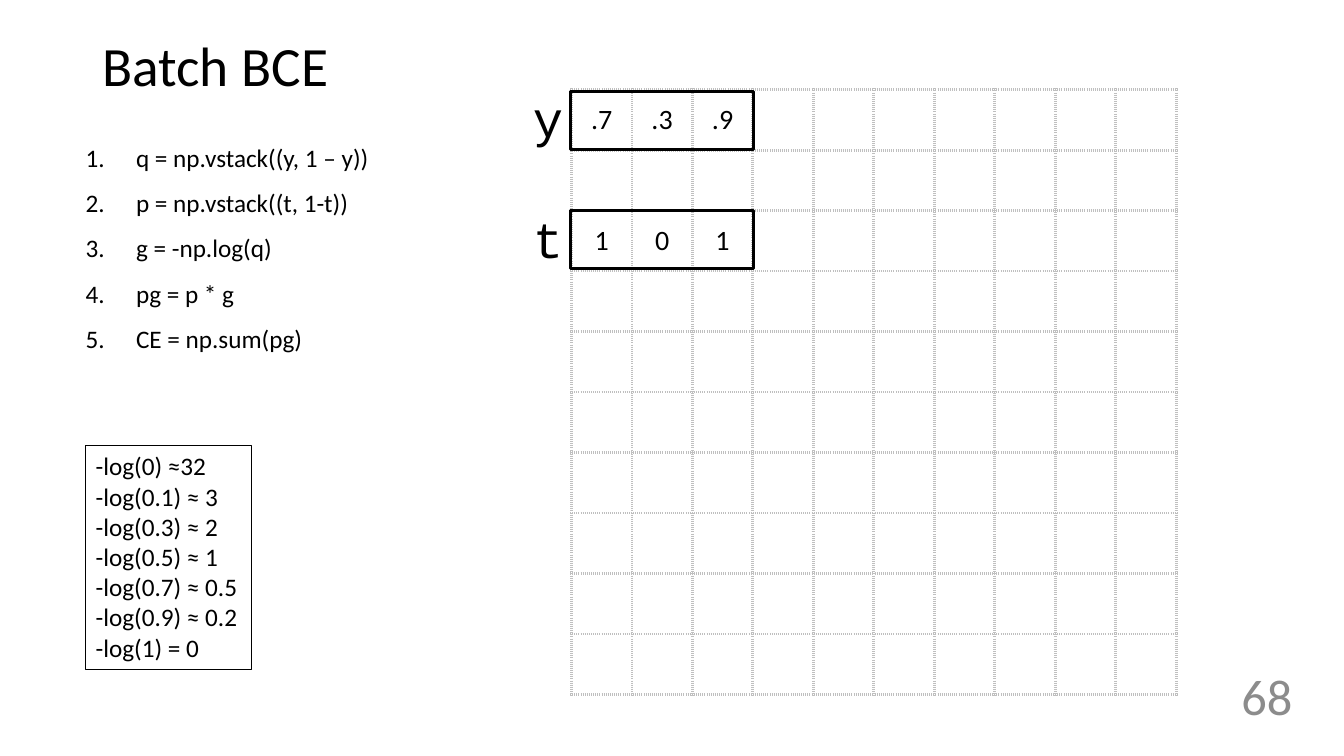
from dataclasses import dataclass
from typing import Optional

from lxml.etree import SubElement
from pptx import Presentation
from pptx.dml.color import RGBColor
from pptx.enum.shapes import MSO_SHAPE
from pptx.enum.text import MSO_ANCHOR, PP_ALIGN
from pptx.oxml.ns import qn
from pptx.util import Cm, Pt

COLORS = {"text": "000000", "number": "8C8C8C", "grid": "BFBFBF"}
GRID_SIZE = 10
GRID_LEFT, GRID_TOP, GRID_SIDE = 14.4, 2.26, 15.24


@dataclass
class TextBox:
    left: float
    top: float
    width: float
    height: float
    lines: list[str]
    size: float
    font: str = "Calibri"
    color: str = "text"
    align: PP_ALIGN = PP_ALIGN.LEFT
    anchor: MSO_ANCHOR = MSO_ANCHOR.TOP
    wrap: bool = True
    spacing: Optional[float] = None
    numbered: bool = False
    outline: Optional[float] = None


@dataclass
class Vector:
    name: str
    row: int
    values: list[str]
    label_top: float
    frame_top: float


def rgb(name: str) -> RGBColor:
    return RGBColor.from_string(COLORS[name])


def add_run(p, text: str, size: float, font: str = "Calibri", color: str = "text") -> None:
    r = p.add_run()
    r.text = text
    r.font.size = Pt(size)
    r.font.name = font
    r.font.color.rgb = rgb(color)


def number_paragraph(p) -> None:
    pPr = p._p.get_or_add_pPr()
    pPr.set("marL", str(Cm(1.27)))
    pPr.set("indent", str(-Cm(1.27)))
    SubElement(pPr, qn("a:buFont"), typeface="+mj-lt")
    SubElement(pPr, qn("a:buAutoNum"), type="arabicPeriod")


def draw_text(s, box: TextBox) -> None:
    sp = s.shapes.add_textbox(Cm(box.left), Cm(box.top), Cm(box.width), Cm(box.height))
    if box.outline:
        sp.line.color.rgb = rgb("text")
        sp.line.width = Pt(box.outline)
    tf = sp.text_frame
    tf.word_wrap = box.wrap
    tf.vertical_anchor = box.anchor
    for i, line in enumerate(box.lines):
        p = tf.add_paragraph() if i else tf.paragraphs[0]
        if box.numbered:
            number_paragraph(p)
        p.alignment = box.align
        if box.spacing:
            p.line_spacing = box.spacing
        add_run(p, line, box.size, box.font, box.color)


def style_cell(cell) -> None:
    cell.vertical_anchor = MSO_ANCHOR.MIDDLE
    tcPr = cell._tc.get_or_add_tcPr()
    for side in ("lnL", "lnR", "lnT", "lnB"):
        ln = SubElement(tcPr, qn(f"a:{side}"), w=str(Pt(2.25)))
        fill = SubElement(ln, qn("a:solidFill"))
        SubElement(fill, qn("a:srgbClr"), val=COLORS["grid"])
        SubElement(ln, qn("a:prstDash"), val="sysDot")
    cell.fill.background()


def draw_grid(s, vectors: list[Vector]) -> None:
    table = s.shapes.add_table(GRID_SIZE, GRID_SIZE, Cm(GRID_LEFT), Cm(GRID_TOP),
                               Cm(GRID_SIDE), Cm(GRID_SIDE)).table
    table.first_row = False
    table.horz_banding = False
    for cell in table.iter_cells():
        style_cell(cell)
    for vector in vectors:
        for col, value in enumerate(vector.values):
            p = table.cell(vector.row, col).text_frame.paragraphs[0]
            p.alignment = PP_ALIGN.CENTER
            add_run(p, value, 20)


def draw_frame(s, vector: Vector) -> None:
    sp = s.shapes.add_shape(MSO_SHAPE.RECTANGLE, Cm(14.38), Cm(vector.frame_top),
                            Cm(4.6), Cm(1.45))
    sp.shadow.inherit = False
    sp.fill.background()
    sp.line.color.rgb = rgb("text")
    sp.line.width = Pt(2.25)


def main() -> None:
    prs = Presentation()
    prs.slide_width, prs.slide_height = Cm(33.87), Cm(19.05)
    s = prs.slides.add_slide(prs.slide_layouts[6])

    vectors = [
        Vector("y", 0, [".7", ".3", ".9"], 2.06, 2.31),
        Vector("t", 2, ["1", "0", "1"], 5.11, 5.31),
    ]
    steps = ["q = np.vstack((y, 1 – y))", "p = np.vstack((t, 1-t))",
             "g = -np.log(q)", "pg = p * g", "CE = np.sum(pg)"]
    logs = ["-log(0) ≈32", "-log(0.1) ≈ 3", "-log(0.3) ≈ 2", "-log(0.5) ≈ 1",
            "-log(0.7) ≈ 0.5", "-log(0.9) ≈ 0.2", "-log(1) = 0"]

    # Title and slide number
    draw_text(s, TextBox(2.33, 1.02, 29.21, 1.4, ["Batch BCE"], 39.6,
                         anchor=MSO_ANCHOR.MIDDLE, spacing=0.9))
    draw_text(s, TextBox(29.64, 16.43, 3.18, 2.18, ["68"], 36, color="number",
                         align=PP_ALIGN.RIGHT, anchor=MSO_ANCHOR.MIDDLE))

    # Grid with the vector values
    draw_grid(s, vectors)

    # Steps and log table
    draw_text(s, TextBox(1.91, 3.07, 11.48, 5.92, steps, 18, spacing=1.5, numbered=True))
    draw_text(s, TextBox(2.16, 11.23, 4.17, 5.64, logs, 18, wrap=False, outline=0.75))

    # Vector names and frames
    for vector in vectors:
        draw_text(s, TextBox(13.18, vector.label_top, 1.22, 1.8, [vector.name], 36,
                             font="Courier New", wrap=False))
        draw_frame(s, vector)

    prs.save("out.pptx")


if __name__ == "__main__":
    main()
